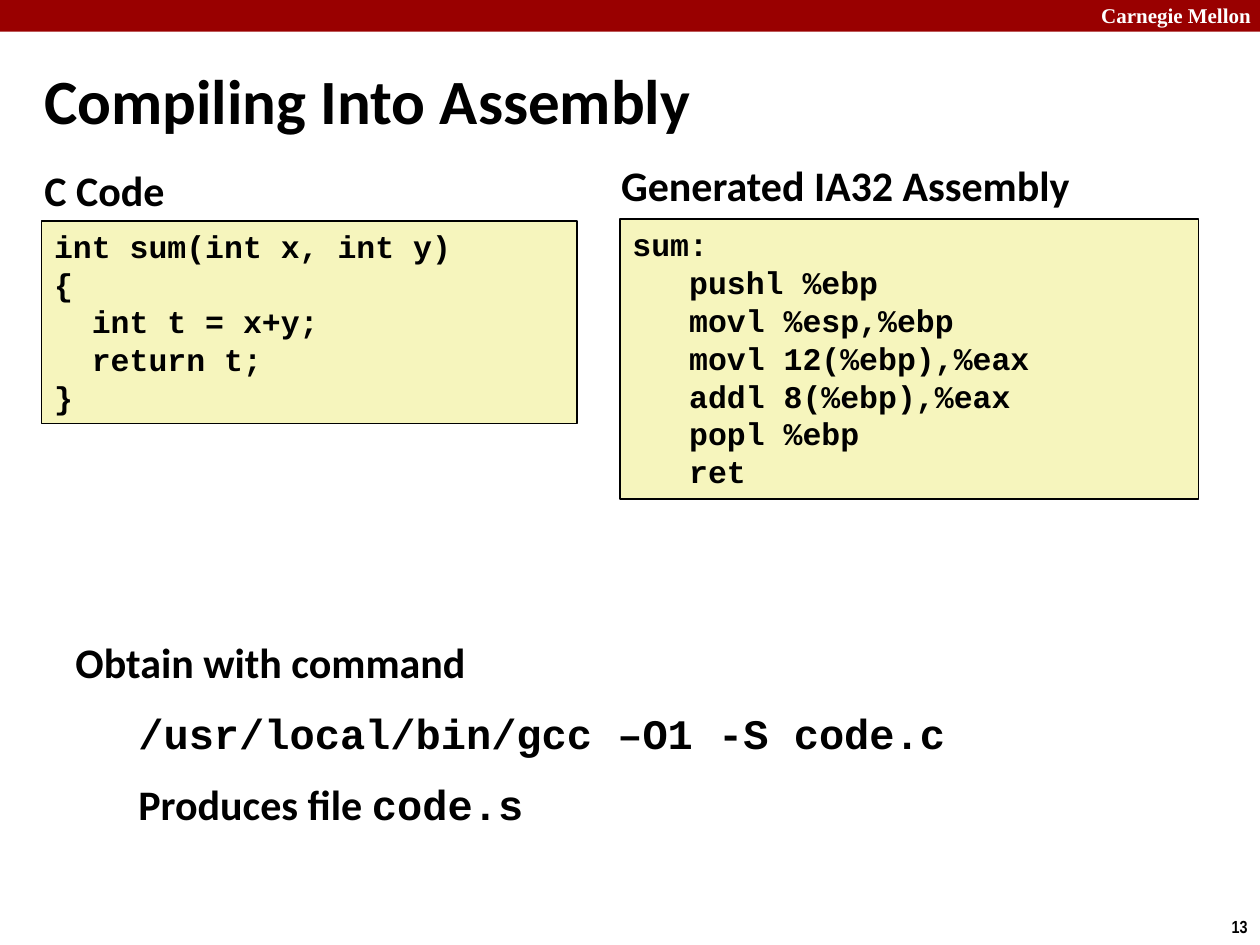
from lxml import etree
from pptx import Presentation
from pptx.dml.color import RGBColor
from pptx.enum.shapes import MSO_SHAPE
from pptx.enum.text import MSO_ANCHOR, MSO_AUTO_SIZE, PP_ALIGN
from pptx.oxml.ns import qn
from pptx.util import Cm, Pt

RECTANGLE = MSO_SHAPE.RECTANGLE
LEFT, RIGHT = PP_ALIGN.LEFT, PP_ALIGN.RIGHT
TOP, MIDDLE = MSO_ANCHOR.TOP, MSO_ANCHOR.MIDDLE
NO_AUTOFIT = MSO_AUTO_SIZE.NONE

BLACK, WHITE, RED, CREAM = "000000", "FFFFFF", "990000", "F6F5BD"

TITLE_FORMAT = {"name": "Calibri", "size": Pt(36), "bold": True}
TEXT_FORMAT = {"name": "Calibri", "size": Pt(24), "bold": True}
COMMAND_FORMAT = {"name": "Courier New", "size": Pt(24), "bold": True}
CODE_FORMAT = {"name": "Courier New", "size": Pt(18), "bold": True}
SCHOOL_FORMAT = {"name": "Times New Roman", "size": Pt(12), "bold": True}
NUMBER_FORMAT = {"name": "Arial Narrow", "size": Pt(10), "bold": True}

# Boxes are left, top, width, height in centimetres.
TITLE = ("Compiling Into Assembly", (0.64, 1.22, 19.02, 1.55))
C_HEADING = ("C Code", (0.64, 3.18, 4.5, 1.02))
ASSEMBLY_HEADING = ("Generated IA32 Assembly", (12.27, 3.1, 11.43, 1.14))
SCHOOL = ("Carnegie Mellon", (21.95, -0.08, 3.63, 0.76))
PAGE_NUMBER = ("13", (24.54, 18.34, 0.86, 0.69))
BANNER_BOX = (0, 0, 25.4, 0.64)

LISTINGS = [
    ((0.84, 4.45, 10.8, 4.09), [
        "int sum(int x, int y)",
        "{",
        "  int t = x+y;",
        "  return t;",
        "}",
    ]),
    ((12.5, 4.42, 11.66, 5.64), [
        "sum:",
        "   pushl %ebp",
        "   movl %esp,%ebp",
        "   movl 12(%ebp),%eax",
        "   addl 8(%ebp),%eax",
        "   popl %ebp",
        "   ret",
    ]),
]

# Each paragraph is an indent in centimetres and its runs.
COMMAND_BOX = (1.27, 12.7, 20.75, 4.34)
COMMAND_NOTES = [
    (0, [("Obtain with command", TEXT_FORMAT)]),
    (1.27, [("/usr/local/bin/gcc –O1 -S code.c", COMMAND_FORMAT)]),
    (1.27, [("Produces file ", TEXT_FORMAT), ("code.s", COMMAND_FORMAT)]),
]


def color(hex_value):
    return RGBColor.from_string(hex_value)


def place(shape, box):
    shape.left, shape.top, shape.width, shape.height = map(Cm, box)


def add_run(paragraph, text, font_format, hex_value=BLACK):
    run = paragraph.add_run()
    run.text = text
    for attribute, value in font_format.items():
        setattr(run.font, attribute, value)
    run.font.color.rgb = color(hex_value)


def write_lines(shape, lines, font_format, hex_value=BLACK, alignment=LEFT, anchor=TOP):
    frame = shape.text_frame
    frame.word_wrap = True
    frame.auto_size = NO_AUTOFIT
    frame.vertical_anchor = anchor
    for index, line in enumerate(lines):
        paragraph = frame.add_paragraph() if index else frame.paragraphs[0]
        paragraph.alignment = alignment
        paragraph.space_before = Pt(0)
        add_run(paragraph, line, font_format, hex_value)


def add_text(slide, content, *style):
    text, box = content
    shape = slide.shapes.add_textbox(*map(Cm, box))
    write_lines(shape, [text], *style)
    return shape


def add_rectangle(slide, box, fill):
    shape = slide.shapes.add_shape(RECTANGLE, *map(Cm, box))
    shape.shadow.inherit = False
    shape.fill.solid()
    shape.fill.fore_color.rgb = color(fill)
    return shape


def fill_placeholder(shape, content, font_format, anchor):
    text, box = content
    place(shape, box)
    properties = shape.text_frame.paragraphs[0]._p.get_or_add_pPr()
    properties.set("marL", "0")
    properties.set("indent", "0")
    etree.SubElement(properties, qn("a:buNone"))
    write_lines(shape, [text], font_format, BLACK, LEFT, anchor)


def add_listing(slide, box, lines):
    shape = add_rectangle(slide, box, CREAM)
    shape.line.color.rgb = color(BLACK)
    shape.line.width = Pt(1)
    write_lines(shape, lines, CODE_FORMAT)


def add_command_notes(slide):
    frame = slide.shapes.add_textbox(*map(Cm, COMMAND_BOX)).text_frame
    frame.word_wrap = True
    for index, (indent, runs) in enumerate(COMMAND_NOTES):
        paragraph = frame.add_paragraph() if index else frame.paragraphs[0]
        paragraph.space_before = Pt(12 if index else 0)
        paragraph._p.get_or_add_pPr().set("marL", str(Cm(indent)))
        for text, font_format in runs:
            add_run(paragraph, text, font_format)


def main():
    presentation = Presentation()
    presentation.slide_width, presentation.slide_height = Cm(25.4), Cm(19.05)
    slide = presentation.slides.add_slide(presentation.slide_layouts[1])

    banner = add_rectangle(slide, BANNER_BOX, RED)
    banner.line.fill.background()
    add_text(slide, SCHOOL, SCHOOL_FORMAT, WHITE)
    number = add_text(slide, PAGE_NUMBER, NUMBER_FORMAT, BLACK, RIGHT)
    number.text_frame.word_wrap = False

    fill_placeholder(slide.shapes.title, TITLE, TITLE_FORMAT, MIDDLE)
    fill_placeholder(slide.placeholders[1], C_HEADING, TEXT_FORMAT, TOP)
    add_text(slide, ASSEMBLY_HEADING, TEXT_FORMAT)
    for box, lines in LISTINGS:
        add_listing(slide, box, lines)
    add_command_notes(slide)

    presentation.save("out.pptx")


if __name__ == "__main__":
    main()
